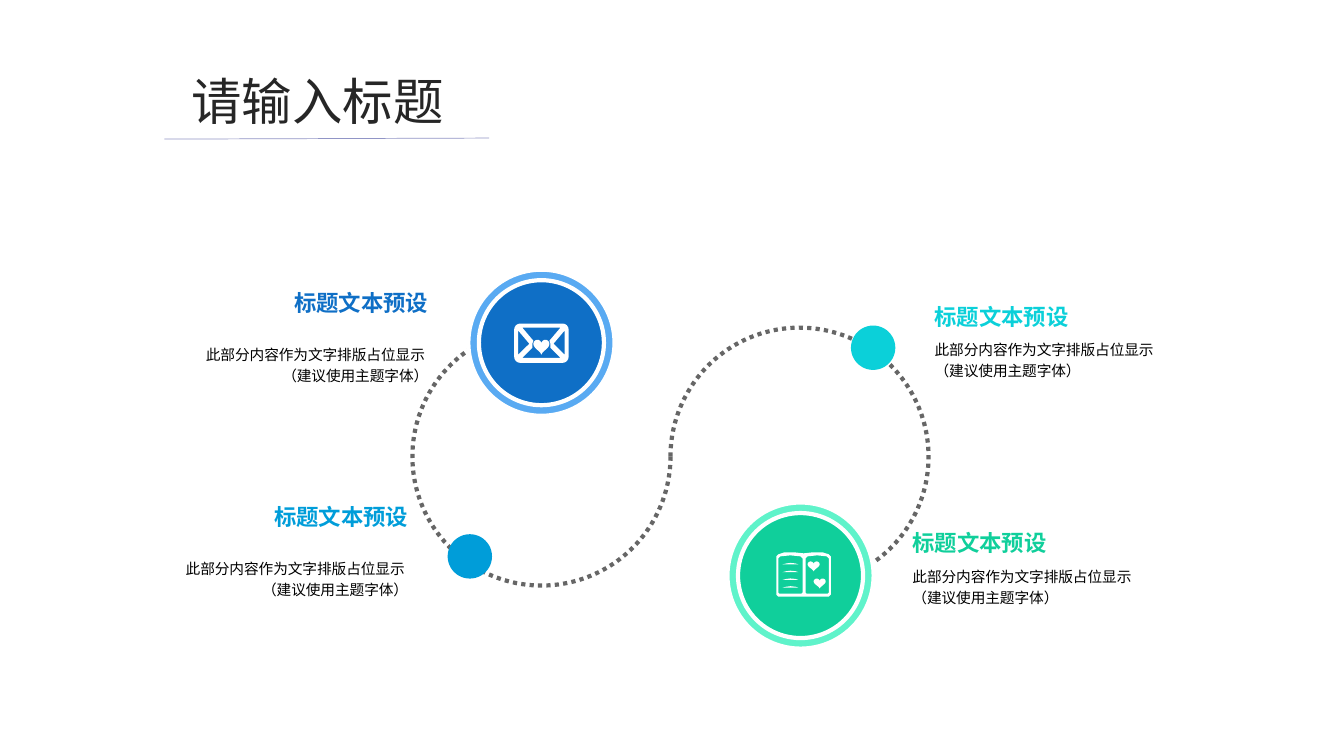
from math import cos, sin, pi

from lxml.etree import SubElement
from pptx import Presentation
from pptx.dml.color import RGBColor
from pptx.enum.dml import MSO_LINE
from pptx.enum.shapes import MSO_CONNECTOR, MSO_SHAPE
from pptx.enum.text import MSO_ANCHOR, MSO_AUTO_SIZE, PP_ALIGN
from pptx.oxml.ns import qn
from pptx.util import Inches, Pt

WHITE = RGBColor(0xFF, 0xFF, 0xFF)
BLACK = RGBColor(0x00, 0x00, 0x00)
INK = RGBColor(0x26, 0x26, 0x26)
GRAY = RGBColor(0x66, 0x66, 0x66)
LILAC = RGBColor(0x91, 0x95, 0xC6)
BLUE = RGBColor(0x0F, 0x6F, 0xC6)
PALE_BLUE = RGBColor(0x59, 0xAA, 0xF2)
SKY = RGBColor(0x00, 0x9D, 0xD9)
CYAN = RGBColor(0x0B, 0xD0, 0xD9)
GREEN = RGBColor(0x10, 0xCF, 0x9B)
MINT = RGBColor(0x5F, 0xF3, 0xCA)

CJK = "Noto Sans CJK JP"
HEAD = "标题文本预设"
BODY = ["此部分内容作为文字排版占位显示 ", "（建议使用主题字体）"]


def add_text(slide, box, lines, size, color, font="Calibri", bold=False,
             align=PP_ALIGN.LEFT, anchor=MSO_ANCHOR.TOP,
             inset=(0, 0, 0, 0), wrap=True, space=None):
    shape = slide.shapes.add_textbox(*map(Inches, box))
    frame = shape.text_frame
    frame.word_wrap = wrap
    frame.vertical_anchor = anchor
    (frame.margin_left, frame.margin_top,
     frame.margin_right, frame.margin_bottom) = map(Inches, inset)
    para = frame.paragraphs[0]
    para.alignment = align
    if space:
        para.line_spacing = space
    for i, line in enumerate(lines):
        if i:
            para.add_line_break()
        run = para.add_run()
        run.text = line
        run.font.size = Pt(size)
        run.font.bold = bold
        run.font.name = font
        run.font.color.rgb = color
        SubElement(run._r.get_or_add_rPr(), qn("a:ea"), typeface=CJK)
    return frame


def add_title(slide):
    rule = slide.shapes.add_connector(
        MSO_CONNECTOR.STRAIGHT,
        Inches(1.63), Inches(1.38), Inches(4.85), Inches(1.37))
    rule.line.color.rgb = LILAC
    rule.line.width = Pt(0.5)
    SubElement(rule._element.spPr, qn("a:effectLst"))
    frame = add_text(slide, (1.8, 0.65, 3.44, 0.71), ["请输入标题"], 36, INK,
                     font=CJK, inset=(0.1, 0.05, 0.1, 0.05))
    frame.auto_size = MSO_AUTO_SIZE.SHAPE_TO_FIT_TEXT


def add_arc(slide, left, turn):
    arc = slide.shapes.add_shape(
        MSO_SHAPE.ARC, Inches(left), Inches(3.25), Inches(2.56), Inches(2.56))
    arc.shadow.inherit = False
    arc.rotation = turn
    arc.adjustments[0] = 162
    arc.adjustments[1] = 108
    arc.fill.background()
    arc.line.color.rgb = GRAY
    arc.line.width = Pt(3)
    arc.line.dash_style = MSO_LINE.ROUND_DOT


def add_disc(slide, x, y, size, color, edge=False):
    """Circle given by its centre."""
    disc = slide.shapes.add_shape(
        MSO_SHAPE.OVAL, Inches(x - size / 2), Inches(y - size / 2),
        Inches(size), Inches(size))
    disc.shadow.inherit = False
    disc.fill.solid()
    disc.fill.fore_color.rgb = color
    if edge:
        disc.line.color.rgb = WHITE
        disc.line.width = Pt(3)
    else:
        disc.line.fill.background()


def add_badge(slide, x, y, rim, core):
    add_disc(slide, x, y, 1.45, rim, edge=True)
    add_disc(slide, x, y, 1.24, core, edge=True)


def add_icon(slide, loops):
    """One white outline; nested loops alternate between hole and fill."""
    loops = [[(Inches(x), Inches(y)) for x, y in loop] for loop in loops]
    pen = slide.shapes.build_freeform(*loops[0][0])
    for i, loop in enumerate(loops):
        if i:
            pen.move_to(*loop[0])
        pen.add_line_segments(loop[1:], close=True)
    icon = pen.convert_to_shape()
    icon.shadow.inherit = False
    icon.fill.solid()
    icon.fill.fore_color.rgb = WHITE
    icon.line.fill.background()


def heart(x, top, width, height):
    turns = [2 * pi * i / 32 for i in range(32)]
    return [(x + width / 2 * sin(t) ** 3,
             top + height * (12 - 13 * cos(t) + 5 * cos(2 * t)
                             + 2 * cos(3 * t) + cos(4 * t)) / 29)
            for t in turns]


def panel(left, top, right, bottom, r):
    """Rectangle with rounded corners."""
    hubs = [(right - r, bottom - r), (left + r, bottom - r),
            (left + r, top + r), (right - r, top + r)]
    return [(x + r * cos((q + i / 4) * pi / 2),
             y + r * sin((q + i / 4) * pi / 2))
            for q, (x, y) in enumerate(hubs) for i in range(5)]


def page(left, right):
    mid = (left + right) / 2
    return [(left, 5.54), (left + 0.02, 5.52), (mid, 5.51),
            (right - 0.02, 5.52), (right, 5.54), (right, 5.88),
            (right - 0.01, 5.89), (left + 0.01, 5.89), (left, 5.88)]


def add_mail(slide):
    flap = [(5.18, 3.25), (5.29, 3.38), (5.28, 3.41), (5.28, 3.45),
            (5.18, 3.55)]
    left = [(5.14, 3.28), (5.14, 3.52), (5.25, 3.41)]
    def flip(points):
        return [(10.74 - x, y) for x, y in points]
    add_icon(slide, [panel(5.1, 3.21, 5.64, 3.6, 0.06), left, flip(left),
                     flap + flip(flap)[::-1], heart(5.37, 3.37, 0.16, 0.15)])


def add_book(slide):
    cover = [(7.7, 5.52), (7.72, 5.5), (7.78, 5.48), (7.88, 5.48),
             (7.97, 5.49), (8.06, 5.48), (8.16, 5.48), (8.22, 5.5),
             (8.24, 5.52), (8.24, 5.9), (8.22, 5.92), (7.72, 5.92),
             (7.7, 5.9)]
    rows = [5.6 + 0.077 * i for i in range(4)]
    lines = [[(7.76, y), (7.8, y - 0.01), (7.84, y - 0.015),
              (7.89, y - 0.01), (7.92, y)] for y in rows]
    add_icon(slide, [cover, page(7.72, 7.96), page(7.99, 8.22), *lines,
                     heart(8.07, 5.57, 0.12, 0.1),
                     heart(8.13, 5.74, 0.12, 0.1)])


def add_note(slide, left, top, color, right_side):
    if right_side:
        width, align, inset = 3.63, PP_ALIGN.LEFT, (0.39, 0, 0, 0)
        pad, hold, rest = (0.39, 0.08, 0, 0), MSO_ANCHOR.BOTTOM, MSO_ANCHOR.TOP
    else:
        width, align, inset = 3.33, PP_ALIGN.RIGHT, (0, 0, 0.39, 0)
        pad, hold, rest = inset, MSO_ANCHOR.MIDDLE, MSO_ANCHOR.MIDDLE
    add_text(slide, (left, top, width, 0.41), [HEAD], 16, color, bold=True,
             align=align, anchor=hold, inset=inset, wrap=False)
    add_text(slide, (left, top + 0.41, width, 0.79), BODY, 10.5, BLACK,
             align=align, anchor=rest, inset=pad, space=1.2)


def main():
    deck = Presentation()
    deck.slide_width, deck.slide_height = Inches(13.33), Inches(7.5)
    slide = deck.slides.add_slide(deck.slide_layouts[6])

    add_title(slide)

    # Dotted path
    add_arc(slide, 4.09, 90)
    add_arc(slide, 6.65, 270)

    # Stops along the path
    add_disc(slide, 4.66, 5.52, 0.44, SKY)
    add_disc(slide, 8.66, 3.45, 0.44, CYAN)
    add_badge(slide, 7.94, 5.71, MINT, GREEN)
    add_book(slide)
    add_badge(slide, 5.37, 3.4, PALE_BLUE, BLUE)
    add_mail(slide)

    # Captions
    add_note(slide, 8.66, 5.11, GREEN, True)
    add_note(slide, 1.31, 2.8, BLUE, False)
    add_note(slide, 8.88, 2.86, CYAN, True)
    add_note(slide, 1.11, 4.92, SKY, False)

    deck.save("out.pptx")


if __name__ == "__main__":
    main()
